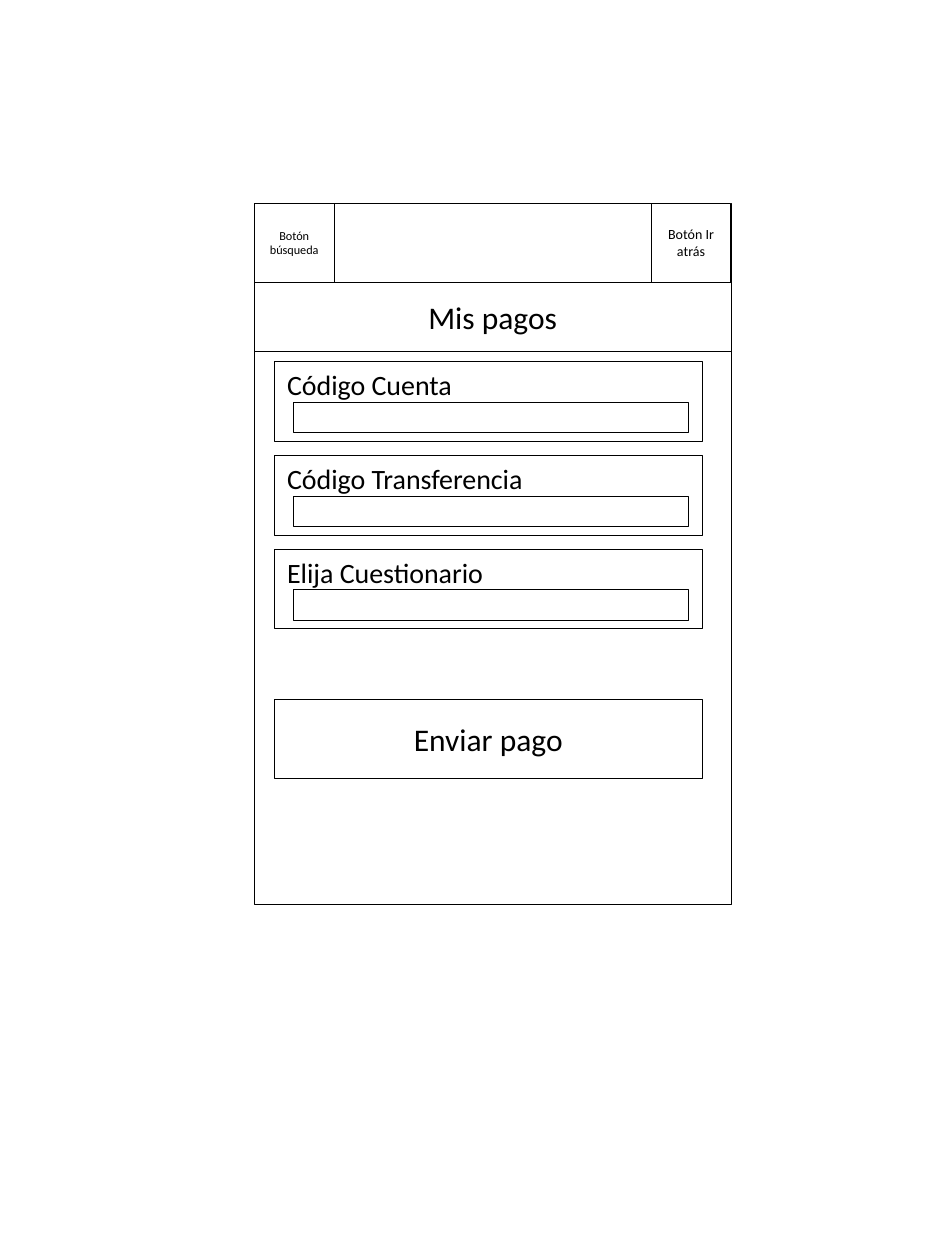
from pptx import Presentation
from pptx.dml.color import RGBColor
from pptx.enum.shapes import MSO_SHAPE as SHAPE
from pptx.enum.text import MSO_ANCHOR as ANCHOR, MSO_AUTO_SIZE as AUTO, PP_ALIGN as ALIGN
from pptx.util import Inches, Pt

COLORS = {"paper": "FFFFFF", "ink": "000000"}
FONT = "Calibri"
LEFT, TOP, WIDTH = 2.02, 1.61, 3.78
BUTTON = 0.63
FIELD_LEFT, FIELD_WIDTH = 2.18, 3.39
FIELD_TOP, FIELD_STEP = 2.87, 0.745
FIELDS = ["Código Cuenta", "Código Transferencia", "Elija Cuestionario"]


class Wireframe:
    """Draws the outlined boxes and labels of a screen wireframe."""

    def __init__(self, slide):
        self.slide = slide

    def color(self, name):
        return RGBColor.from_string(COLORS[name])

    def set_text(self, tf, text, size, align):
        tf.word_wrap = True
        tf.text = text
        for p in tf.paragraphs:
            p.alignment = align
            for r in p.runs:
                r.font.name = FONT
                r.font.size = Pt(size)
                r.font.color.rgb = self.color("ink")

    def box(self, x, y, w, h, text="", size=18):
        s = self.slide.shapes.add_shape(
            SHAPE.RECTANGLE, Inches(x), Inches(y), Inches(w), Inches(h))
        s.shadow.inherit = False
        s.fill.solid()
        s.fill.fore_color.rgb = self.color("paper")
        s.line.color.rgb = self.color("ink")
        s.line.width = Pt(0.25)
        if text:
            s.text_frame.vertical_anchor = ANCHOR.MIDDLE
            self.set_text(s.text_frame, text, size, ALIGN.CENTER)

    def label(self, x, y, w, h, text, size=16):
        s = self.slide.shapes.add_textbox(Inches(x), Inches(y), Inches(w), Inches(h))
        self.set_text(s.text_frame, text, size, ALIGN.LEFT)
        s.text_frame.auto_size = AUTO.SHAPE_TO_FIT_TEXT

    def field(self, y, text):
        self.box(FIELD_LEFT, y, FIELD_WIDTH, BUTTON)
        self.label(FIELD_LEFT, y, 2.52, 0.37, text)
        self.box(FIELD_LEFT + 0.15, y + 0.32, 3.13, 0.24)


def main():
    prs = Presentation()
    prs.slide_width, prs.slide_height = Inches(7.5), Inches(10)
    screen = Wireframe(prs.slides.add_slide(prs.slide_layouts[6]))

    screen.box(LEFT, TOP, WIDTH, BUTTON)
    screen.box(LEFT, 2.28, WIDTH, 4.9)
    screen.box(LEFT, TOP + BUTTON, WIDTH, 0.55, "Mis pagos")
    screen.box(LEFT, TOP, BUTTON, BUTTON, "Botón\nbúsqueda", 7)
    screen.box(LEFT + WIDTH - BUTTON, TOP, BUTTON, BUTTON, "Botón Ir atrás", 8)
    for i, text in enumerate(FIELDS):
        screen.field(FIELD_TOP + i * FIELD_STEP, text)
    screen.box(FIELD_LEFT, 5.55, FIELD_WIDTH, BUTTON, "Enviar pago")

    prs.save("out.pptx")


if __name__ == "__main__":
    main()
